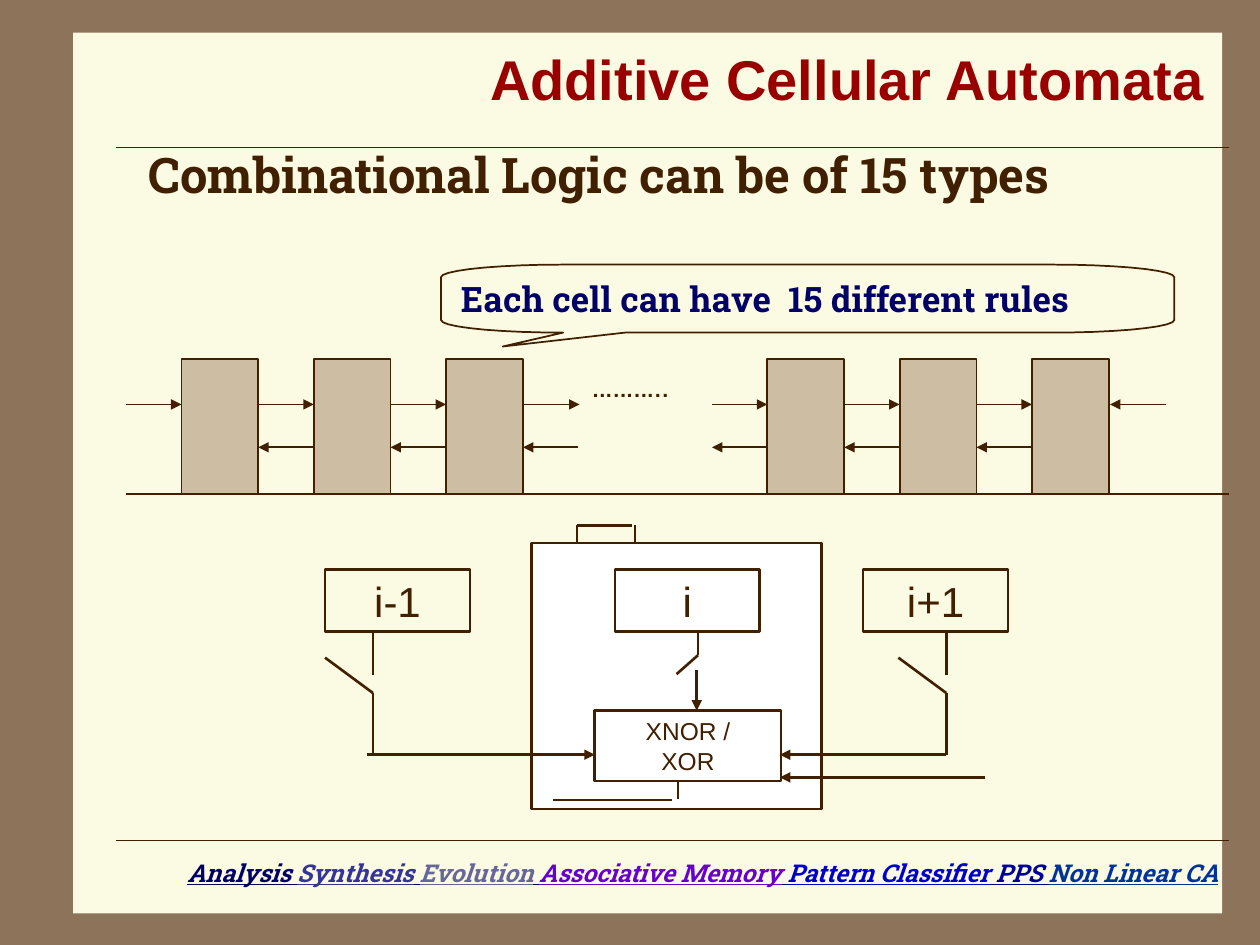
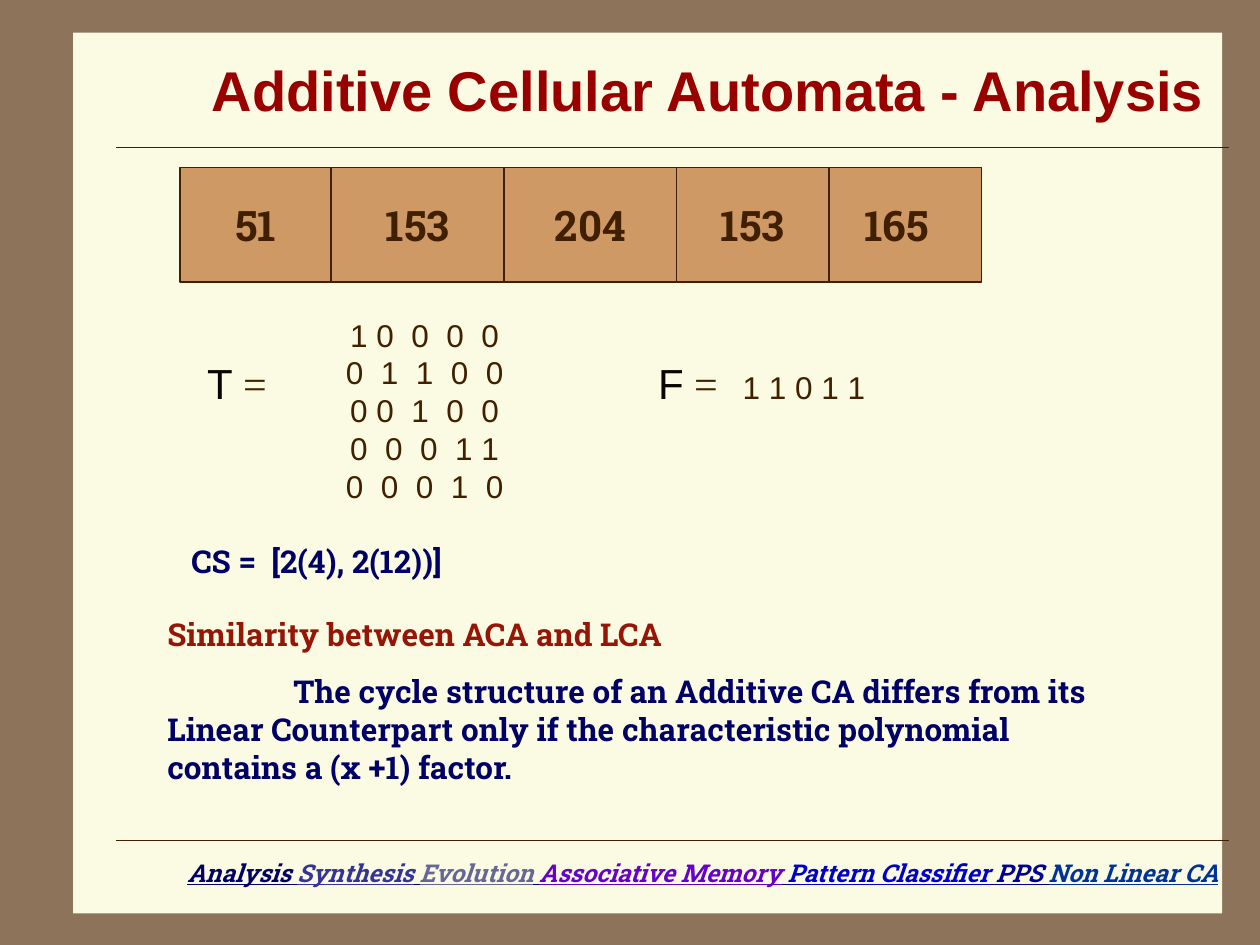
"""Build two slides on additive cellular automata and their analysis."""
import math

from lxml import etree
from pptx import Presentation, util as u
from pptx.dml.color import RGBColor
from pptx.enum import shapes, text
from pptx.oxml import ns

BROWN = RGBColor(0x8C, 0x73, 0x5A)
CREAM = RGBColor(0xFB, 0xFA, 0xE2)
INK = RGBColor(0x40, 0x20, 0x00)
BLACK = RGBColor(0x08, 0x04, 0x00)
WHITE = RGBColor(0xFF, 0xFF, 0xFF)
RED = RGBColor(0x99, 0x00, 0x00)
BRICK = RGBColor(0x95, 0x15, 0x07)
NAVY = RGBColor(0x00, 0x00, 0x66)
CELL_TAN = RGBColor(0xA0, 0x83, 0x66)
RULE_ORANGE = RGBColor(0xCE, 0x99, 0x64)
SLAB, SANS, SERIF = "Roboto Slab", "Arial", "Times New Roman"
LEFT, CENTER, RIGHT = text.PP_ALIGN.LEFT, text.PP_ALIGN.CENTER, text.PP_ALIGN.RIGHT
TOP, MIDDLE = text.MSO_ANCHOR.TOP, text.MSO_ANCHOR.MIDDLE
FOOTER = [
    ("Analysis", NAVY),
    ("Synthesis", RGBColor(0x33, 0x33, 0x99)),
    ("Evolution", RGBColor(0x66, 0x66, 0x99)),
    ("Associative Memory", RGBColor(0x66, 0x00, 0xCC)),
    ("Pattern Classifier", RGBColor(0x00, 0x00, 0xCC)),
    ("PPS", RGBColor(0x00, 0x00, 0x99)),
    ("Non Linear CA", RGBColor(0x00, 0x33, 0x99)),
]


def add_rectangle(slide, box, fill=None, width=1.5):
    """Add a plain rectangle, without an outline when width is zero."""
    shape = slide.shapes.add_shape(shapes.MSO_SHAPE.RECTANGLE, *map(u.Inches, box))
    shape.shadow.inherit = False
    if fill is None:
        shape.fill.background()
    else:
        shape.fill.solid()
        shape.fill.fore_color.rgb = fill
    if width:
        shape.line.color.rgb = INK
        shape.line.width = u.Pt(width)
    else:
        shape.line.fill.background()
    return shape


def write(shape, paragraphs, size, font=SLAB, bold=False, align=LEFT, anchor=TOP):
    """Write paragraphs, each a list of (text, colour) or (text, colour, font) runs."""
    frame = shape.text_frame
    frame.word_wrap = True
    frame.auto_size = text.MSO_AUTO_SIZE.NONE
    frame.vertical_anchor = anchor
    for index, runs in enumerate(paragraphs):
        paragraph = frame.add_paragraph() if index else frame.paragraphs[0]
        paragraph.alignment = align
        paragraph.space_before = u.Pt(0)
        for words, colour, *own_font in runs:
            run = paragraph.add_run()
            run.text = words
            run.font.size = u.Pt(size)
            run.font.name = own_font[0] if own_font else font
            run.font.bold = bold
            run.font.color.rgb = colour
    return frame


presentation = Presentation()
presentation.slide_width, presentation.slide_height = u.Inches(10), u.Inches(7.5)
master = presentation.slide_master
master.background.fill.solid()
master.background.fill.fore_color.rgb = BROWN

logic = presentation.slides.add_slide(presentation.slide_layouts[1])
analysis = presentation.slides.add_slide(presentation.slide_layouts[5])
for slide, words, top in (
    (logic, "Additive Cellular Automata", 0.08),
    (analysis, "Additive Cellular Automata - Analysis", 0.17),
):
    title = slide.shapes.title
    title.left, title.top, title.width, title.height = map(u.Inches, (1.08, top, 8.58, 1.08))
    write(title, [[(words, RED)]], 32, SANS, True, RIGHT, MIDDLE)

page = add_rectangle(logic, (0.58, 0.26, 9.12, 6.99), CREAM, 0)
footer = logic.shapes.add_textbox(*map(u.Inches, (0.6, 6.76, 9.17, 0.57)))
footer_runs = []
for words, colour in FOOTER:
    footer_runs += [(words, colour), (" ", NAVY)]
footer_frame = write(footer, [footer_runs[:-1]], 14, SLAB, True, RIGHT)
for run in footer_frame.paragraphs[0].runs:
    run.font.italic = True
    run.font.underline = True

body = logic.placeholders[1]
body.left, body.top, body.width, body.height = map(u.Inches, (1.08, 1.17, 8.58, 0.92))
properties = body.text_frame.paragraphs[0]._p.get_or_add_pPr()
properties.set("marL", str(u.Inches(0.38)))
properties.set("indent", str(u.Inches(-0.38)))
etree.SubElement(properties, ns.qn("a:buNone"))
body_frame = write(body, [[("Combinational Logic can be of 15 types", INK)]], 28, SLAB, True)
body_frame.paragraphs[0].line_spacing = 0.85

segments = [
    (0.92, 1.17, 9.75, 1.17, 1, False),
    (0.92, 6.67, 9.75, 6.67, 1, False),
    (1, 3.92, 9.75, 3.92, 1, False),
    (9.25, 3.21, 8.81, 3.21, 1, True),
    (4.16, 3.21, 4.6, 3.21, 1, True),
]
for bank_left, reply_left in ((1, 2.05), (5.65, 5.65)):
    for index in range(3):
        step = 1.05 * index
        cell = add_rectangle(logic, (bank_left + 0.44 + step, 2.85, 0.61, 1.07), CELL_TAN, 1)
        colour = cell._element.spPr.find(ns.qn("a:solidFill"))[0]
        etree.SubElement(colour, ns.qn("a:alpha")).set("val", "50000")
        sent, reply = bank_left + step, reply_left + step
        segments.append((sent, 3.21, sent + 0.44, 3.21, 1, True))
        segments.append((reply + 0.44, 3.55, reply, 3.55, 1, True))

dots = logic.shapes.add_textbox(*map(u.Inches, (4.6, 2.86, 1.67, 0.4)))
write(dots, [[("………..", INK)]], 18)

outline = []
for x, y, start in ((4.47, 2.2, 180), (8.35, 2.2, 270), (8.35, 2.54, 0), (4.47, 2.54, 90)):
    if start == 90:
        outline += [(4.96, 2.64), (3.99, 2.75)]
    for degrees in range(start, start + 91, 10):
        angle = math.radians(degrees)
        outline.append((x + 0.97 * math.cos(angle), y + 0.1 * math.sin(angle)))
points = [(u.Inches(x), u.Inches(y)) for x, y in outline]
builder = logic.shapes.build_freeform(*points[0])
builder.add_line_segments(points[1:], close=True)
callout = builder.convert_to_shape()
callout.shadow.inherit = False
callout.fill.background()
callout.line.color.rgb = INK
callout.line.width = u.Pt(1)
callout_text = logic.shapes.add_textbox(*map(u.Inches, (3.56, 2.15, 6.02, 0.43)))
write(callout_text, [[("Each cell can have  15 different rules", NAVY)]], 20, SLAB, True)

add_rectangle(logic, (4.22, 4.31, 2.3, 2.11), WHITE)
for box, lines, size in (
    ((2.58, 4.52, 1.15, 0.49), ["i-1"], 24),
    ((4.88, 4.52, 1.15, 0.49), ["i"], 24),
    ((6.85, 4.52, 1.15, 0.49), ["i+1"], 24),
    ((4.72, 5.64, 1.48, 0.56), ["XNOR /", "XOR"], 14),
):
    register = add_rectangle(logic, box)
    write(register, [[(line, INK)] for line in lines], size, SANS, False, CENTER, MIDDLE)

for x in (2.96, 7.51):
    segments += [
        (x, 5.99, x, 5.5, 1.5, False),
        (x, 5.36, x, 5.01, 1.5, False),
        (x, 5.5, x - 0.38, 5.22, 1.5, False),
    ]
segments += [
    (5.04, 4.17, 5.04, 4.31, 1.5, False),
    (4.58, 4.17, 5.02, 4.17, 1.5, False),
    (4.58, 4.17, 4.58, 4.31, 1.5, False),
    (2.91, 5.99, 4.72, 5.99, 1.5, True),
    (7.51, 5.99, 6.19, 5.99, 1.5, True),
    (7.82, 6.17, 6.19, 6.17, 1.5, True),
    (4.39, 6.35, 5.33, 6.35, 1.5, False),
    (5.38, 6.34, 5.38, 6.21, 1.5, False),
    (5.53, 5.32, 5.53, 5.64, 1.5, True),
    (5.54, 5.01, 5.54, 5.2, 1.5, False),
    (5.54, 5.2, 5.37, 5.35, 1.5, False),
]
connectors = []
for *ends, width, arrow in segments:
    connector = logic.shapes.add_connector(shapes.MSO_CONNECTOR.STRAIGHT, *map(u.Inches, ends))
    connector.line.color.rgb = INK
    connector.line.width = u.Pt(width)
    if arrow:
        line = connector.line._get_or_add_ln()
        etree.SubElement(line, ns.qn("a:tailEnd")).set("type", "triangle")
    etree.SubElement(connector._element.spPr, ns.qn("a:effectLst"))
    connectors.append(connector)
for shape in [page, footer] + connectors[:2]:
    master.shapes._spTree.append(shape._element)

left = 1.43
for rule, width in (("51", 1.2), ("153", 1.37), ("204", 1.37), ("153", 1.21), ("165", 1.21)):
    rule_box = add_rectangle(analysis, (left, 1.33, width, 0.91), RULE_ORANGE, 1)
    write(rule_box, [[(rule, INK)]], 24, SLAB, True, CENTER, MIDDLE)
    left += width
rule_box.text_frame.margin_right = u.Inches(0.24)

matrix = ["1 0  0  0  0", "0  1  1  0  0", "0 0  1  0  0", "0  0  0  1 1", "0  0  0  1  0"]
for box, paragraphs, size in (
    ((2.58, 2.17, 1.58, 2.17), [[(row, INK)] for row in matrix], 18),
    ((1.42, 2.75, 0.92, 0.58), [[("T", BLACK), (" =", INK, SERIF)]], 24),
    ((5, 2.75, 0.92, 0.58), [[("F", BLACK), (" =", INK, SERIF)]], 24),
    ((5.67, 2.78, 1.42, 0.58), [[("1 1 0 1 1", INK)]], 18),
):
    formula = analysis.shapes.add_textbox(*map(u.Inches, box))
    write(formula, paragraphs, size, SANS, False, CENTER, MIDDLE)

cycles = analysis.shapes.add_textbox(*map(u.Inches, (1.42, 4.25, 2.5, 0.4)))
write(cycles, [[("CS =  [2(4), 2(12))]", NAVY)]], 18, SLAB, True)

similarity = analysis.shapes.add_textbox(*map(u.Inches, (1.23, 4.83, 7.93, 1.46)))
similarity_frame = write(similarity, [
    [("Similarity between ACA and LCA", BRICK)],
    [("The cycle structure of an Additive CA differs from its Linear Counterpart only if "
      "the characteristic polynomial contains a (x +1) factor.", NAVY)],
], 18, SLAB, True)
statement = similarity_frame.paragraphs[1]
statement.space_before = u.Pt(11.2)
statement._p.get_or_add_pPr().set("indent", str(u.Inches(1)))

presentation.save("out.pptx")
